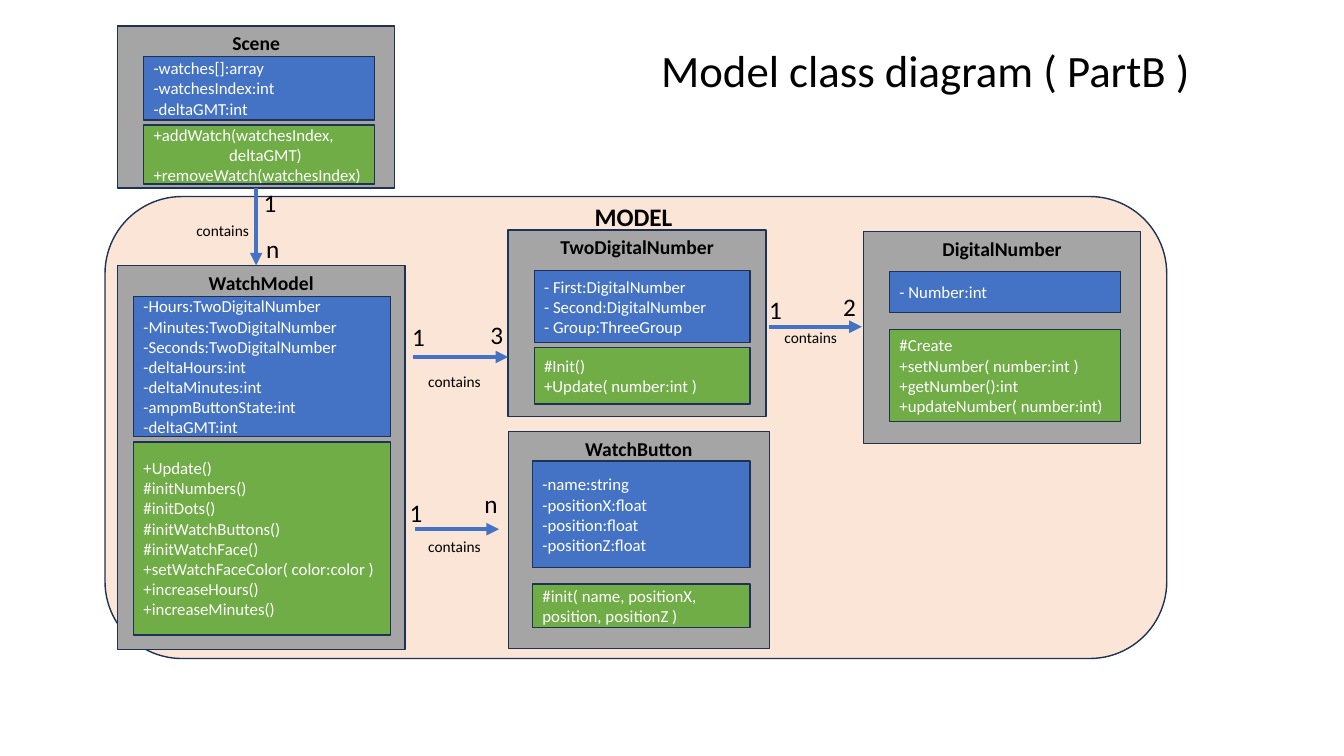
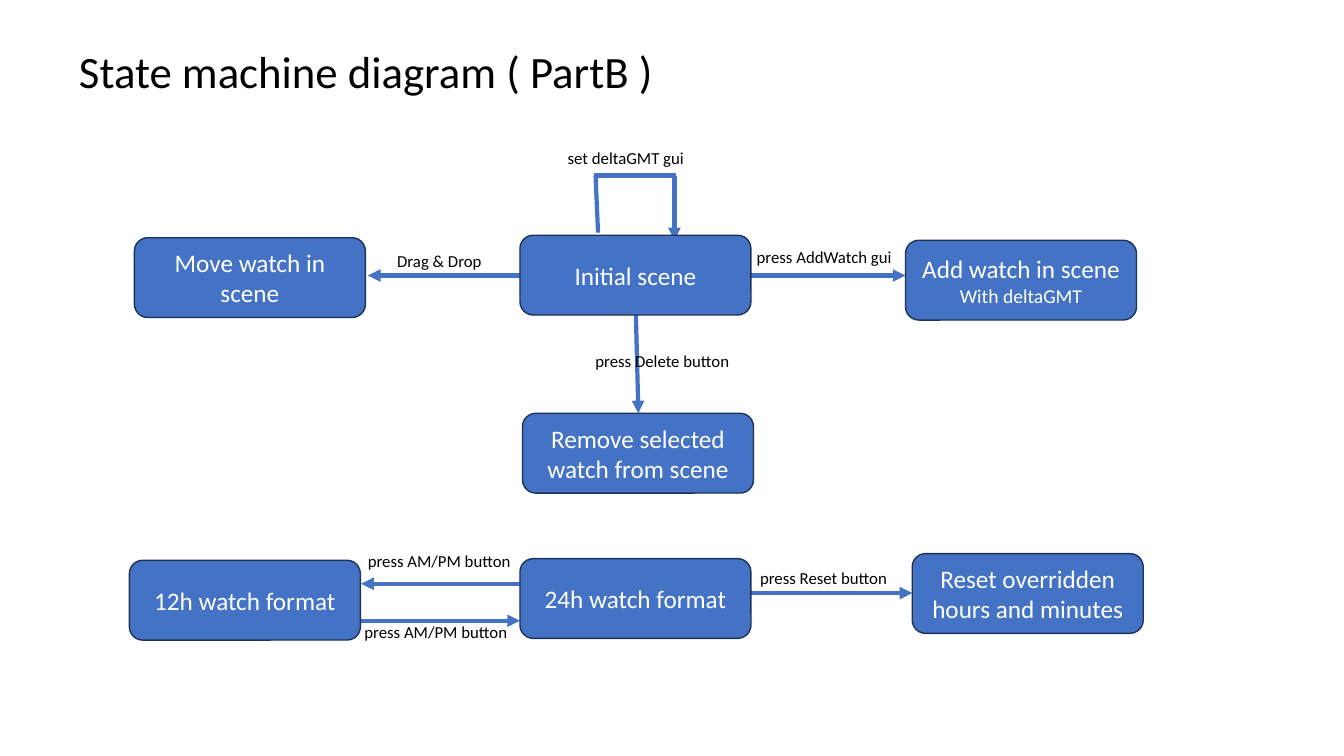
from lxml import etree
from pptx import Presentation
from pptx.dml.color import RGBColor
from pptx.enum.shapes import MSO_CONNECTOR, MSO_SHAPE
from pptx.enum.text import MSO_ANCHOR, MSO_AUTO_SIZE, PP_ALIGN
from pptx.oxml.ns import qn
from pptx.util import Emu, Pt

RECT, ROUND = MSO_SHAPE.RECTANGLE, MSO_SHAPE.ROUNDED_RECTANGLE
LINE = MSO_CONNECTOR.STRAIGHT
TOP, MIDDLE = MSO_ANCHOR.TOP, MSO_ANCHOR.MIDDLE
LEFT, CENTER = PP_ALIGN.LEFT, PP_ALIGN.CENTER
FIXED = MSO_AUTO_SIZE.NONE

COLS, ROWS = 160, 90
CELL = 76200  # a twelfth of an inch
FONT = "Calibri"
BLUE, GREEN, GREY, PEACH = "4472C4", "70AD47", "A5A5A5", "FBE5D6"
EDGE, BLACK, WHITE = "1E3256", "000000", "FFFFFF"


def grid(*cells):
    return [Emu(round(n * CELL)) for n in cells]


def paint(form, color):
    """Give a fill, line or font format one solid colour."""
    if hasattr(form, "solid"):
        form.solid()
        form.fore_color.rgb = RGBColor.from_string(color)
    else:
        form.color.rgb = RGBColor.from_string(color)


def write(shape, lines, size, color, align=LEFT, anchor=MIDDLE, bold=False):
    frame = shape.text_frame
    frame.word_wrap = True
    frame.auto_size = FIXED
    frame.vertical_anchor = anchor
    frame.text = "\n".join(lines)
    for para in frame.paragraphs:
        para.alignment = align
        for run in para.runs:
            run.font.name, run.font.size, run.font.bold = FONT, Pt(size), bold
            paint(run.font, color)


def block(slide, kind, box, fill):
    shape = slide.shapes.add_shape(kind, *grid(*box))
    shape.shadow.inherit = False
    paint(shape.fill, fill)
    paint(shape.line, EDGE)
    shape.line.width = Pt(1)
    return shape


def label(slide, text, x, y, width, size, bold=False):
    height = 0.2 * size + 1.2
    shape = slide.shapes.add_textbox(*grid(x, y, width, height))
    write(shape, [text], size, BLACK, anchor=TOP, bold=bold)


def arrow(slide, start, end, head=True):
    line = slide.shapes.add_connector(LINE, *grid(*start, *end))
    paint(line.line, BLUE)
    line.line.width = Pt(3)
    if head:
        tip = etree.SubElement(line.line._get_or_add_ln(), qn("a:tailEnd"))
        tip.set("type", "triangle")
    etree.SubElement(line._element.spPr, qn("a:effectLst"))


def page(deck, title, box):
    """Add a title-only slide with its title in the given box."""
    slide = deck.slides.add_slide(deck.slide_layouts[5])
    head = slide.shapes.title
    head.left, head.top, head.width, head.height = grid(*box)
    write(head, [title], 32, BLACK)
    head.text_frame.paragraphs[0].line_spacing = 0.9
    return slide


def card(slide, name, box, inset, width, parts):
    """Draw a class; parts are (top, height, lines) inside its box."""
    x, y = box[:2]
    write(block(slide, RECT, box, GREY), [name], 14, BLACK, CENTER, TOP, True)
    for fill, (top, height, lines) in zip((BLUE, GREEN), parts):
        part = block(slide, RECT, (x + inset, y + top, width, height), fill)
        write(part, lines, 12, WHITE)
    return part


def relate(slide, start, end, marks, shifts):
    """Join two classes; shifts place the two marks and the caption."""
    arrow(slide, start, end)
    near, far, word = shifts
    for text, (x, y), (dx, dy) in zip(marks, (start, end), (near, far)):
        label(slide, text, x + dx, y + dy, 2.9, 18)
    label(slide, "contains", start[0] + word[0], start[1] + word[1], 9.1, 11)


def state(slide, x, y, lines):
    shape = block(slide, ROUND, (x, y, 27.5, 9.5), BLUE)
    write(shape, lines, 18, WHITE, CENTER)
    for para in shape.text_frame.paragraphs[1:]:
        para.runs[0].font.size = Pt(14)


def classes(deck):
    slide = page(deck, "Model class diagram ( PartB )", (77.5, 0, 71.8, 17.4))
    block(slide, ROUND, (12.5, 23.4, 126.4, 55), PEACH)
    label(slide, "MODEL", 69.6, 23.4, 19.7, 18, True)
    card(slide, "DigitalNumber", (102.8, 27.6, 33, 25.2), 3.1, 27.5, [
        (4.7, 4.9, ["- Number:int"]),
        (11.6, 11, ["#Create", "+setNumber( number:int )",
                    "+getNumber():int", "+updateNumber( number:int)"])])
    card(slide, "TwoDigitalNumber", (60.5, 27.4, 30.7, 22.2), 3.1, 25.7, [
        (4.8, 8.6, ["- First:DigitalNumber", "- Second:DigitalNumber",
                    "- Group:ThreeGroup"]),
        (14, 6.7, ["#Init()", "+Update( number:int )"])])
    card(slide, "WatchModel", (14, 31.6, 34.2, 45.7), 1.9, 30.6, [
        (3.7, 16.7, ["-Hours:TwoDigitalNumber", "-Minutes:TwoDigitalNumber",
                     "-Seconds:TwoDigitalNumber", "-deltaHours:int",
                     "-deltaMinutes:int", "-ampmButtonState:int",
                     "-deltaGMT:int"]),
        (21, 23, ["+Update()", "#initNumbers()", "#initDots()",
                  "#initWatchButtons()", "#initWatchFace()",
                  "+setWatchFaceColor( color:color )",
                  "+increaseHours()", "+increaseMinutes()"])])
    card(slide, "WatchButton", (60.5, 51.4, 31.1, 25.8), 2.9, 25.9, [
        (3.5, 12.7, ["-name:string", "-positionX:float", "-position:float",
                     "-positionZ:float"]),
        (18.1, 5.2, ["#init( name, positionX, position, positionZ )"])])
    calls = card(slide, "Scene", (14, 3.1, 33, 19.3), 3.1, 27.5, [
        (3.6, 7.6, ["-watches[]:array", "-watchesIndex:int",
                    "-deltaGMT:int"]),
        (11.8, 7, ["+addWatch(watchesIndex,", "deltaGMT)",
                   "+removeWatch(watchesIndex)"])])
    inner = calls.text_frame.paragraphs[1]._p.get_or_add_pPr()
    inner.set("marL", str(9 * CELL))
    for start, end, marks, shifts in (
            ((30.5, 22.4), (30.5, 31.6), "1n",
             ((-0.3, -0.7), (0, -4.4), (-8.3, 3.3))),
            ((49.2, 42.5), (60.5, 42.5), "13",
             ((-1.3, -4.8), (-3.3, -5.1), (0.6, 1.2))),
            ((91.6, 38.9), (102.6, 38.9), "12",
             ((-1.2, -4.5), (-3.4, -4.8), (0.6, -0.4))),
            ((49.4, 63), (59.4, 63), "1n",
             ((-1.8, -4.4), (-2.9, -5.5), (0.4, 0.4)))):
        relate(slide, start, end, marks, shifts)


def states(deck):
    slide = page(deck, "State machine diagram ( PartB )", (8.2, 0.1, 138, 17.4))
    for start, end, text, x, y in (
            ((75.7, 37.4), (76, 49.2), "press Delete button", 69.7, 41.2),
            ((43, 73.9), (61.9, 73.9), "press AM/PM button", 42.2, 73.4),
            ((61.9, 69.5), (43, 69.5), "press AM/PM button", 42.6, 65),
            ((89.3, 70.6), (108.6, 70.6), "press Reset button", 89.3, 67),
            ((88.9, 32.8), (107.8, 32.8), "press AddWatch gui", 88.9, 28.8),
            ((61.9, 32.8), (43.8, 32.8), "Drag & Drop", 46.1, 29.2),
            ((80.3, 20.9), (80.3, 28.6), "set deltaGMT gui", 66.4, 17)):
        arrow(slide, start, end)
        label(slide, text, x, y, 21.2, 12)
    arrow(slide, (80.5, 20.9), (70.7, 20.9), head=False)
    arrow(slide, (70.9, 20.9), (71.2, 27.7), head=False)
    for x, y, *lines in (
            (16, 28.3, "Move watch in scene"),
            (61.9, 28, "Initial scene"),
            (107.8, 28.6, "Add watch in scene", "With deltaGMT"),
            (62.2, 49.2, "Remove selected watch from scene"),
            (15.4, 66.7, "12h watch format"),
            (61.9, 66.5, "24h watch format"),
            (108.6, 65.9, "Reset overridden hours and minutes")):
        state(slide, x, y, lines)


def main():
    deck = Presentation()
    deck.slide_width, deck.slide_height = grid(COLS, ROWS)
    classes(deck)
    states(deck)
    deck.save("out.pptx")


if __name__ == "__main__":
    main()
